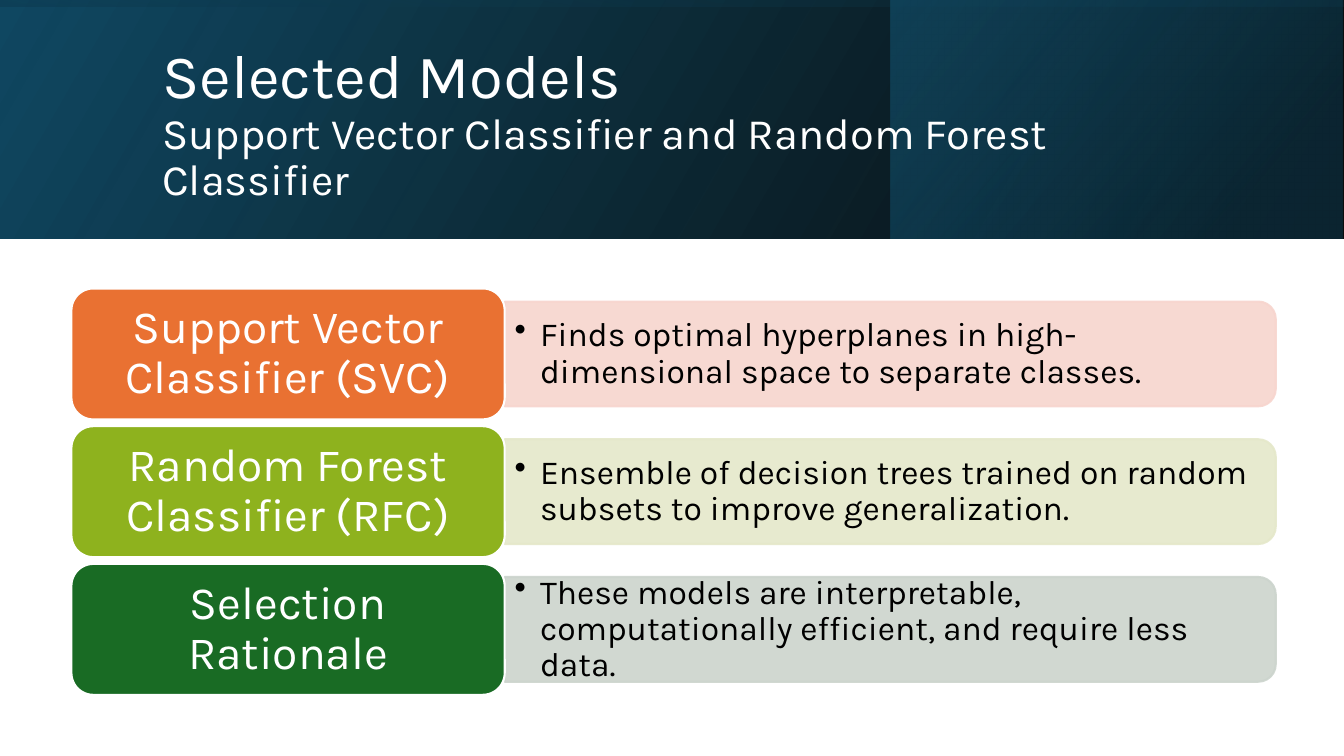
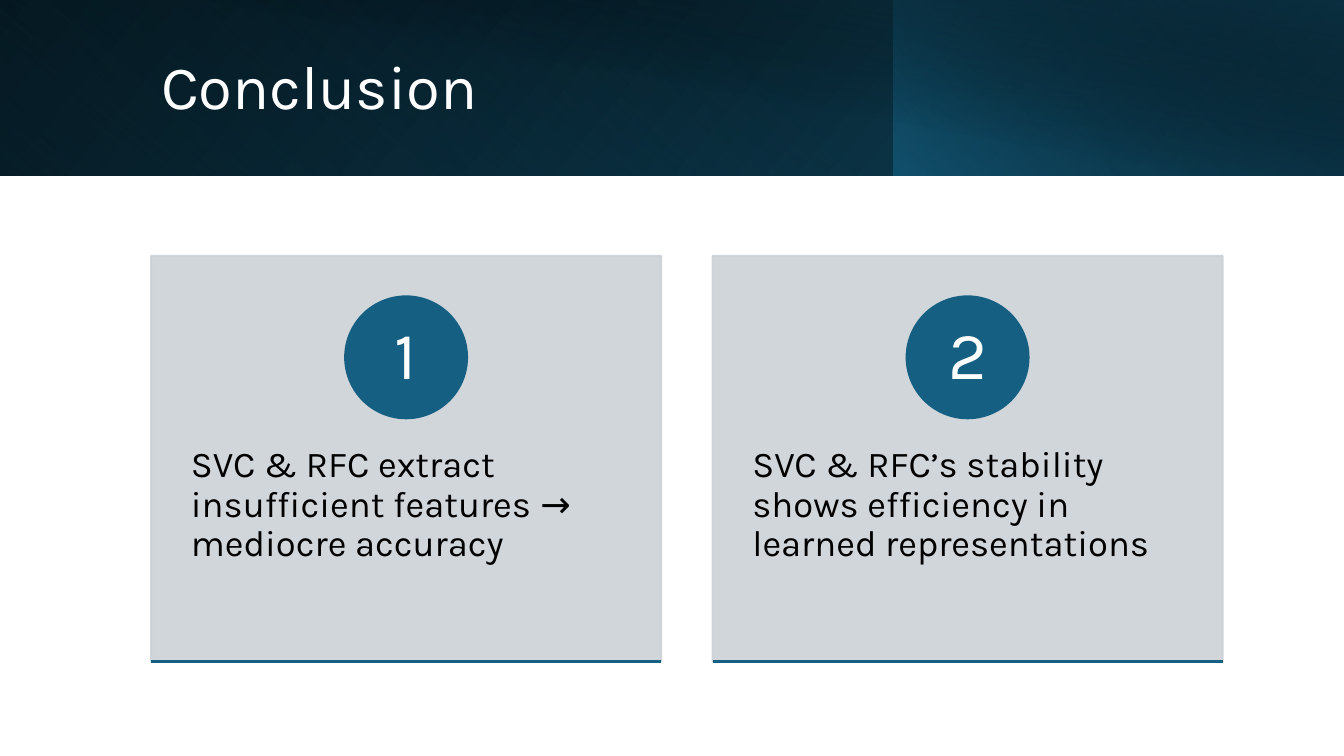
from lxml import etree
from pptx import Presentation
from pptx import util as u
from pptx.dml.color import RGBColor
from pptx.enum import shapes, text
from pptx.oxml.ns import qn

FONT = "Karla"
WHITE, BLACK, TEAL, NAVY, DEEP = "FFFFFF", "000000", "156082", "104862", "0B3041"
CARD_GREY = "CCD2D8"
SLIDE_W, SLIDE_H = 33.87, 19.05
SHAPE, ALIGN, ANCHOR = shapes.MSO_SHAPE, text.PP_ALIGN, text.MSO_ANCHOR


# ---------- shared helpers (boxes are left, top, width, height in cm) ----------
def rgb(color):
    return RGBColor.from_string(color)


def lengths(box):
    return [u.Cm(value) for value in box]


def add_alpha(color_element, percent):
    etree.SubElement(color_element, qn("a:alpha"), val=str(percent * 1000))


def add_block(slide, preset, box, fill, line=None, opacity=100):
    """Preset shape with a plain fill and an optional outline."""
    block = slide.shapes.add_shape(preset, *lengths(box))
    block.shadow.inherit = False
    block.fill.solid()
    block.fill.fore_color.rgb = rgb(fill)
    if line:
        block.line.color.rgb = rgb(line)
        block.line.width = u.Pt(1.5)
    else:
        block.line.fill.background()
    if opacity < 100:
        for color in block._element.spPr.iter(qn("a:srgbClr")):
            add_alpha(color, opacity)
    return block


def add_gradient(slide, box, angle, stops, rotation=0, flip=True):
    """Rectangle that covers box; stops are (position, colour, opacity)."""
    left, top, width, height = box
    if rotation in (90, 270):
        left, top = left + (width - height) / 2, top + (height - width) / 2
        width, height = height, width
    band = add_block(slide, SHAPE.RECTANGLE, (left, top, width, height), NAVY)
    band.rotation = rotation
    band.fill.gradient()
    properties = band._element.spPr
    if flip:
        properties.find(qn("a:xfrm")).set("flipH", "1")
    gradient = properties.find(qn("a:gradFill"))
    for child in list(gradient):
        gradient.remove(child)
    gradient.set("rotWithShape", "1")
    stop_list = etree.SubElement(gradient, qn("a:gsLst"))
    for position, color, opacity in stops:
        stop = etree.SubElement(stop_list, qn("a:gs"), pos=str(position * 1000))
        add_alpha(etree.SubElement(stop, qn("a:srgbClr"), val=color), opacity)
    etree.SubElement(gradient, qn("a:lin"), ang=str(angle * 60000), scaled="0")


def write(shape, lines, sizes, color=BLACK, align=ALIGN.LEFT,
          anchor=ANCHOR.MIDDLE, insets=(0.25, 0.13, 0.25, 0.13), bullet=False):
    """Fill a shape with one paragraph, its lines parted by line breaks."""
    frame = shape.text_frame
    frame.word_wrap = True
    frame.auto_size = text.MSO_AUTO_SIZE.NONE
    frame.vertical_anchor = anchor
    (frame.margin_left, frame.margin_top,
     frame.margin_right, frame.margin_bottom) = lengths(insets)
    paragraph = frame.paragraphs[0]
    paragraph.alignment = align
    paragraph.line_spacing = 0.9
    for index, (line, size) in enumerate(zip(lines, sizes)):
        if index:
            paragraph.add_line_break()
        run = paragraph.add_run()
        run.text = line
        run.font.name = FONT
        run.font.size = u.Pt(size)
        run.font.color.rgb = rgb(color)
    if bullet:
        properties = paragraph._p.get_or_add_pPr()
        indent = u.Cm(0.64)
        properties.set("marL", str(indent))
        properties.set("indent", str(-indent))
        etree.SubElement(properties, qn("a:buChar"), char="•")


def add_title_slide(deck, gradients, title_box, lines, sizes):
    """Title-only slide with layered gradients behind its title."""
    slide = deck.slides.add_slide(deck.slide_layouts[5])
    title = slide.shapes.title
    for gradient in gradients:
        add_gradient(slide, **gradient)
    slide.shapes._spTree.append(title._element)  # title in front of the band
    title.left, title.top, title.width, title.height = lengths(title_box)
    write(title, lines, sizes, color=WHITE)
    return slide


# ---------- regions ----------
def add_model_row(slide, box, name, detail, strong, pale):
    """Coloured label at the left, pale panel with a bullet at the right."""
    left, top, width, height = box
    label_w, panel_h = 10.92, 2.64
    panel_left, panel_w = left + label_w, width - label_w
    # The panel is upright and turned, so that its round corners face right
    panel = add_block(slide, SHAPE.ROUND_2_SAME_RECTANGLE,
                      (panel_left + (panel_w - panel_h) / 2,
                       top + (height - panel_w) / 2, panel_h, panel_w),
                      pale, line=pale, opacity=90)
    panel.rotation = 90
    note = slide.shapes.add_textbox(
        *lengths((panel_left, top + 0.45, panel_w - 0.12, height - 0.9)))
    write(note, [detail], [24], bullet=True)
    label = add_block(slide, SHAPE.ROUNDED_RECTANGLE,
                      (left, top, label_w, height), strong, line=WHITE)
    write(label, [name], [33], color=WHITE, align=ALIGN.CENTER,
          insets=(0.36, 0.18, 0.36, 0.18))


def add_finding_card(slide, box, number, finding):
    """Grey card with a number disc, a finding and a coloured base line."""
    left, top, width, height = box
    card = add_block(slide, SHAPE.RECTANGLE, box, CARD_GREY,
                     line=CARD_GREY, opacity=90)
    write(card, [finding], [26], anchor=ANCHOR.TOP, insets=(1, 4.8, 1, 0.9))
    disc_size = 3.07
    disc = add_block(slide, SHAPE.OVAL,
                     (left + (width - disc_size) / 2, top + 1.02,
                      disc_size, disc_size), TEAL, line=TEAL)
    write(disc, [str(number)], [48], color=WHITE, align=ALIGN.CENTER,
          insets=(0.23, 0.03, 0.23, 0.03))
    base = slide.shapes.add_connector(
        shapes.MSO_CONNECTOR.STRAIGHT,
        *lengths((left, top + height, left + width, top + height)))
    base.line.color.rgb = rgb(TEAL)
    base.line.width = u.Pt(2)
    etree.SubElement(base._element.spPr, qn("a:effectLst"))


# ---------- slides ----------
def build_models(deck):
    band_h = 6.02
    whole = (0, 0, SLIDE_W, band_h)
    slide = add_title_slide(deck, [
        dict(box=whole, angle=330, stops=[(0, BLACK, 96), (100, NAVY, 100)]),
        dict(box=(22.45, 0, 11.38, band_h), angle=320,
             stops=[(19, DEEP, 68), (100, TEAL, 48)]),
        dict(box=whole, angle=350, rotation=270,
             stops=[(23, NAVY, 16), (99, BLACK, 45)]),
    ], (3.84, 0.97, 27, 4.37),
        ["Selected Models",
         "Support Vector Classifier and Random Forest Classifier"], [44, 31])
    models = [
        ("Support Vector Classifier (SVC)",
         "Finds optimal hyperplanes in high-dimensional space to separate "
         "classes.", "E97132", "F7D5CE"),
        ("Random Forest Classifier (RFC)",
         "Ensemble of decision trees trained on random subsets to improve "
         "generalization.", "8EB21E", "E5E8CA"),
        ("Selection Rationale",
         "These models are interpretable, computationally efficient, and "
         "require less data.", "196B24", "CCD4CD"),
    ]
    for index, model in enumerate(models):
        add_model_row(slide, (1.8, 7.27 + index * 3.47, 30.35, 3.3), *model)


def build_conclusion(deck):
    band_h = 4.42
    slide = add_title_slide(deck, [
        dict(box=(0, 0, SLIDE_W, band_h), angle=140,
             stops=[(0, BLACK, 100), (100, NAVY, 100)]),
        dict(box=(0, 0, 22.55, band_h), angle=230, rotation=180,
             stops=[(20, TEAL, 0), (100, DEEP, 55)]),
        dict(box=(22.53, 0, 11.34, band_h), angle=220,
             stops=[(0, TEAL, 66), (100, BLACK, 30)]),
        dict(box=(1.27, 0, 32.6, band_h), angle=280, flip=False,
             stops=[(50, BLACK, 0), (99, DEEP, 52)]),
    ], (3.81, 0.81, 27.48, 2.87), ["Conclusion"], [44])
    findings = [
        "SVC & RFC extract insufficient features → mediocre accuracy",
        "SVC & RFC’s stability shows efficiency in learned representations",
    ]
    card_w, gap = 12.85, 1.3
    for index, finding in enumerate(findings):
        add_finding_card(slide,
                         (3.81 + index * (card_w + gap), 6.45, card_w, 10.22),
                         index + 1, finding)


def main():
    deck = Presentation()
    deck.slide_width, deck.slide_height = u.Cm(SLIDE_W), u.Cm(SLIDE_H)
    build_models(deck)
    build_conclusion(deck)
    deck.save("out.pptx")


if __name__ == "__main__":
    main()
